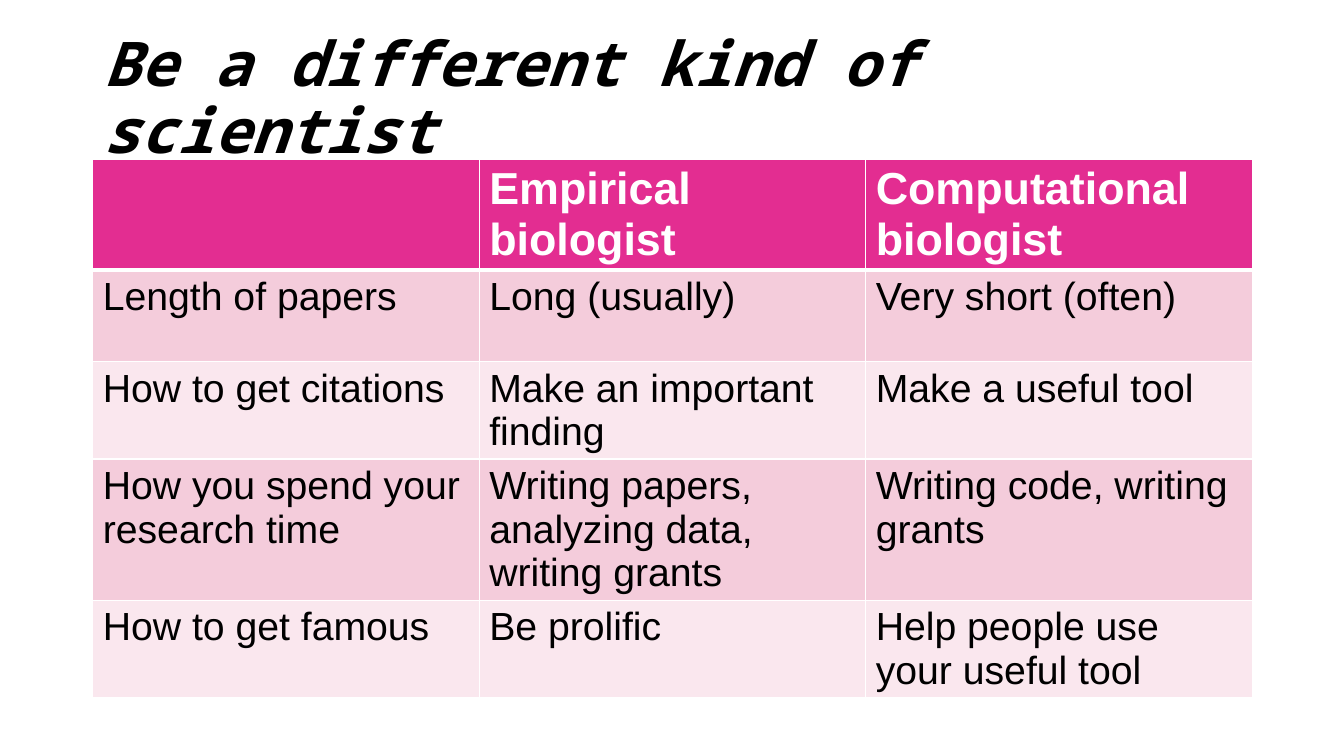
from lxml import etree
from pptx import Presentation
from pptx.dml.color import RGBColor
from pptx.enum.text import MSO_ANCHOR, MSO_AUTO_SIZE, PP_ALIGN
from pptx.oxml.ns import qn
from pptx.util import Inches, Pt

BLACK = RGBColor(0x00, 0x00, 0x00)
WHITE = RGBColor(0xFF, 0xFF, 0xFF)
MAGENTA = RGBColor(0xE3, 0x2D, 0x91)
PINK = RGBColor(0xF4, 0xCC, 0xDB)
PALE_PINK = RGBColor(0xFA, 0xE7, 0xEE)
MIDDLE = MSO_ANCHOR.MIDDLE
NO_AUTOFIT = MSO_AUTO_SIZE.NONE
LEFT = PP_ALIGN.LEFT

TITLE_ONLY = 5
TITLE = "Be a different kind of scientist"
TITLE_BOX = (0.92, 0.27, 11.5, 1.45)
TABLE_BOX = (0.92, 1.58, 11.5, 4.55)
COMPARISON = [
    ("", "Empirical biologist", "Computational biologist"),
    ("Length of papers", "Long (usually)", "Very short (often)"),
    ("How to get citations", "Make an important finding", "Make a useful tool"),
    ("How you spend your research time",
     "Writing papers, analyzing data, writing grants",
     "Writing code, writing grants"),
    ("How to get famous", "Be prolific", "Help people use your useful tool"),
]


def format_font(font, name, size, color, bold, italic=False):
    font.name = name
    font.size = Pt(size)
    font.color.rgb = color
    font.bold = bold
    font.italic = italic


def add_title(slide, box):
    title = slide.shapes.title
    title.left, title.top, title.width, title.height = map(Inches, box)
    text_frame = title.text_frame
    text_frame.text = TITLE
    text_frame.word_wrap = True
    text_frame.auto_size = NO_AUTOFIT
    text_frame.vertical_anchor = MIDDLE
    paragraph = text_frame.paragraphs[0]
    paragraph.alignment = LEFT
    paragraph.line_spacing = 0.9
    format_font(paragraph.runs[0].font, "Noto Sans Mono", 44, BLACK, True, True)


def set_borders(cell, top, bottom):
    properties = cell._tc.get_or_add_tcPr()
    for side, width in (("L", 1), ("R", 1), ("T", top), ("B", bottom)):
        line = etree.SubElement(properties, qn(f"a:ln{side}"), w=str(Pt(width)))
        fill = etree.SubElement(line, qn("a:solidFill"))
        etree.SubElement(fill, qn("a:srgbClr"), val=str(WHITE))


def fill_cell(cell, text, row_index):
    is_header = row_index == 0
    set_borders(cell, 3 if row_index == 1 else 1, 3 if is_header else 1)
    cell.fill.solid()
    if is_header:
        cell.fill.fore_color.rgb = MAGENTA
    else:
        cell.fill.fore_color.rgb = PINK if row_index % 2 else PALE_PINK
    cell.text_frame.text = text
    for run in cell.text_frame.paragraphs[0].runs:
        if is_header:
            format_font(run.font, "Arial", 32, WHITE, True)
        else:
            format_font(run.font, "Arial", 28, BLACK, False)


def add_comparison(slide, box):
    left, top, width, height = map(Inches, box)
    table = slide.shapes.add_table(
        len(COMPARISON), len(COMPARISON[0]), left, top, width, height).table
    for row_index, texts in enumerate(COMPARISON):
        for column_index, text in enumerate(texts):
            fill_cell(table.cell(row_index, column_index), text, row_index)


def main():
    presentation = Presentation()
    presentation.slide_width = Inches(13.33)
    presentation.slide_height = Inches(7.5)
    slide = presentation.slides.add_slide(presentation.slide_layouts[TITLE_ONLY])
    add_title(slide, TITLE_BOX)
    add_comparison(slide, TABLE_BOX)
    presentation.save("out.pptx")


if __name__ == "__main__":
    main()
